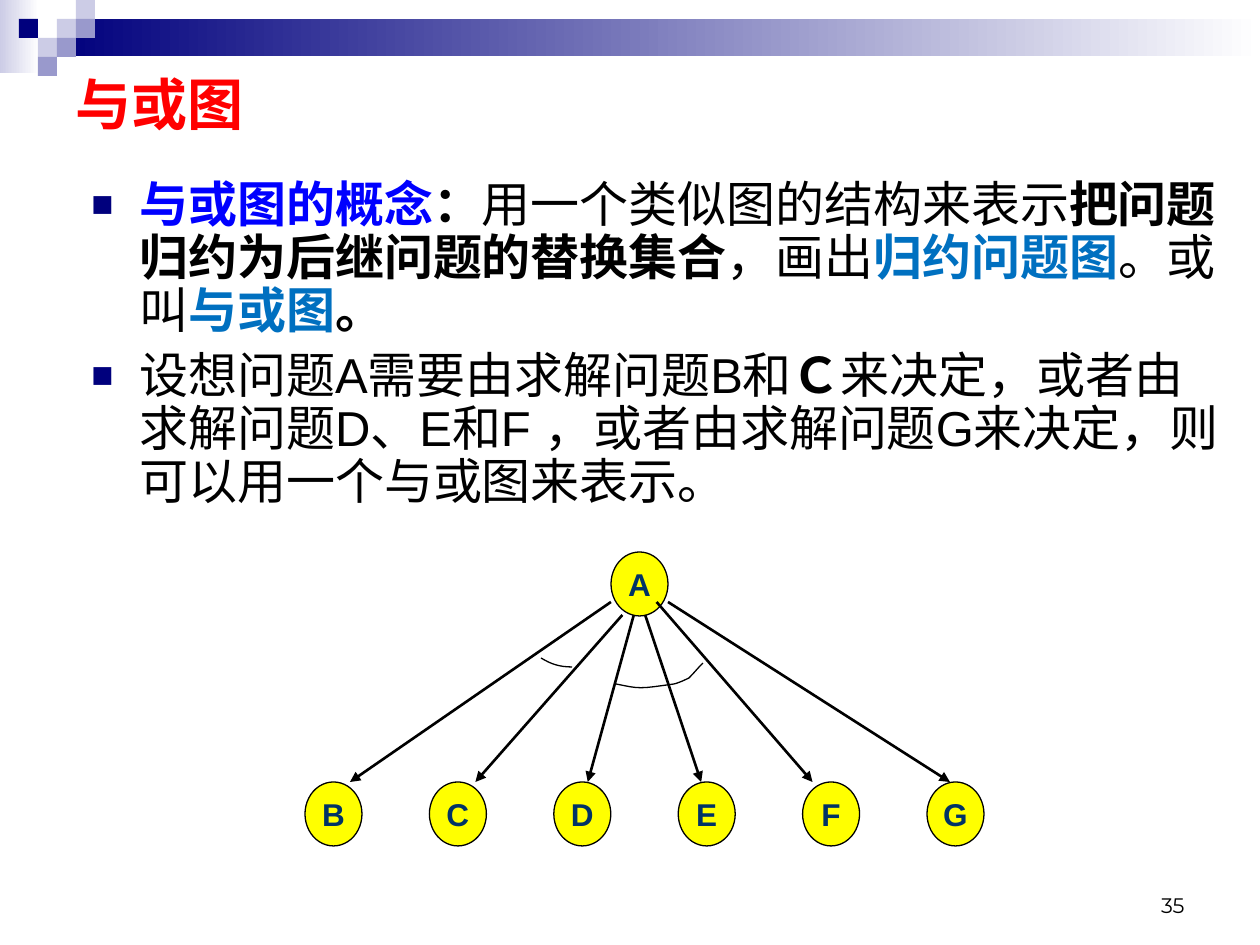
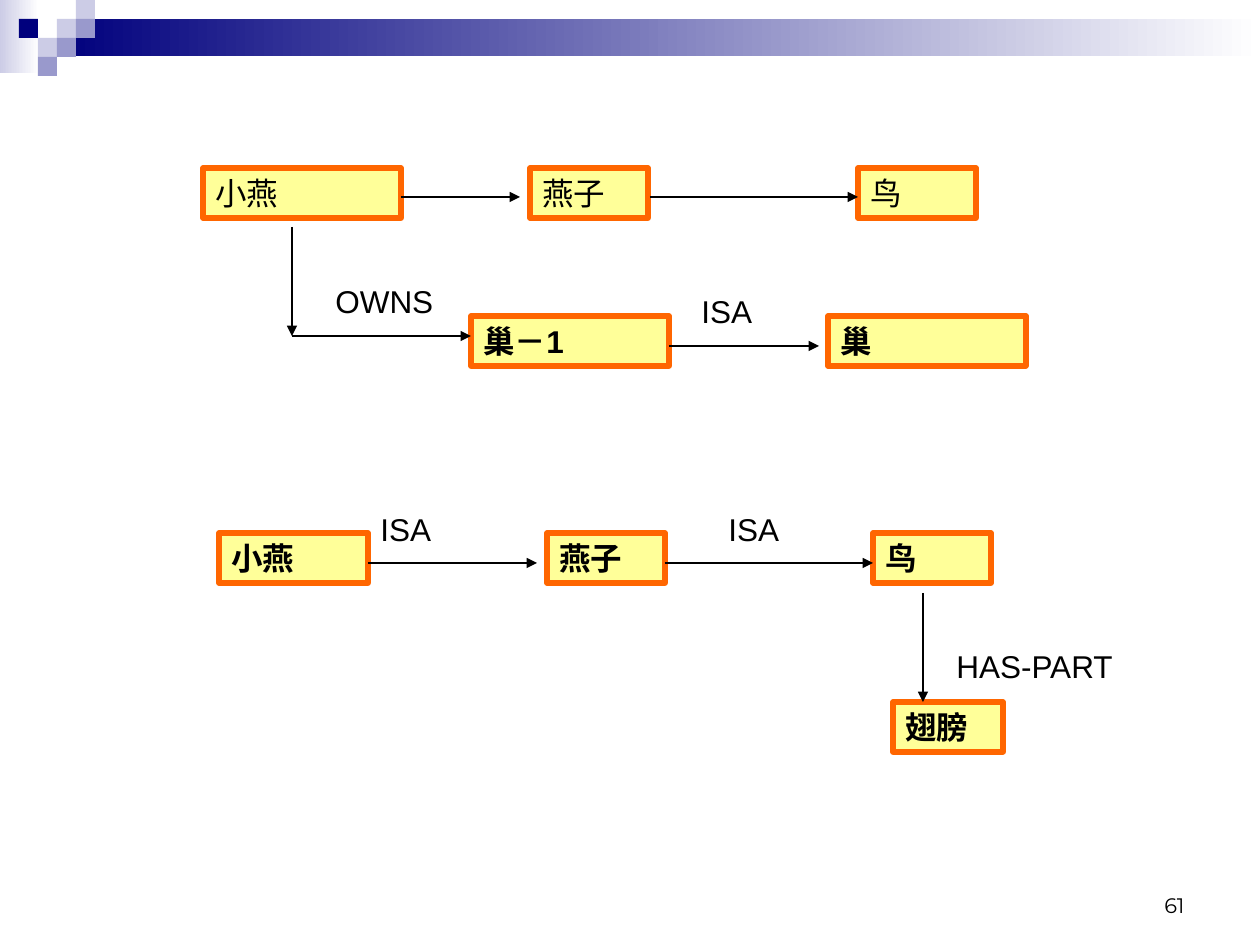
import pptx
import pptx.dml.color
import pptx.enum.shapes
import pptx.enum.text
import pptx.oxml.ns
import pptx.util
from lxml import etree

SCALE = 914400 / 126  # EMU in one px
COLOURS = {
    "navy": "00007D", "mid": "9999CC", "light": "CCCCE6", "white": "FFFFFF",
    "black": "000000", "title": "FF0000", "concept": "0000FF", "term": "0070C0",
    "node": "FFFF00", "node_text": "003366", "box": "FFFF99", "box_line": "FF6600",
}
RECTANGLE = pptx.enum.shapes.MSO_SHAPE.RECTANGLE
OVAL = pptx.enum.shapes.MSO_SHAPE.OVAL
ALIGN = pptx.enum.text.PP_ALIGN
ANCHOR = pptx.enum.text.MSO_ANCHOR

# Shared decoration: fading bands, then squares as (column, row, colour)
BANDS = [((0, 0, 39, 73), "light"), ((57, 19, 1203, 37), "navy")]
SQUARE = 19
SQUARES = [(3, 1, "light"), (4, 0, "light"), (4, 1, "mid"), (2, 2, "light"),
           (1, 1, "navy"), (3, 2, "mid"), (2, 3, "mid")]
PAGE_NUMBER_AREA = (903, 861, 294, 63)

# And-or graph slide
GRAPH_TITLE = "与或图"
# Paragraphs of (text, colour, bold)
EXPLANATION = [
    [("与或图的概念", "concept", True), ("：", "black", True),
     ("用一个类似图的结构来表示", "black", False),
     ("把问题归约为后继问题的替换集合", "black", True),
     ("，画出", "black", False), ("归约问题图", "term", True),
     ("。或叫", "black", False), ("与或图", "term", True), ("。", "black", True)],
    [("设想问题A需要由求解问题B和", "black", False), ("Ｃ", "black", True),
     ("来决定，或者由求解问题D、E和F ，或者由求解问题G来决定，"
      "则可以用一个与或图来表示。", "black", False)],
]
NODE_W, NODE_H = 57, 64
ROOT_X, ROOT_Y = 611, 552
CHILD_LEFT, CHILD_RIGHT, CHILD_Y = 305, 927, 782
# Child, height where its arrow leaves the root, offset of the arrow tip in the child
CHILDREN = [("B", 602, 45), ("C", 615, 46), ("D", 615, 34),
            ("E", 615, 23), ("F", 602, 10), ("G", 602, 23)]
# And-arcs: start point, then cubic pieces (control, control, end)
AND_ARCS = [
    ((541, 658), [((551, 664), (559, 667), (572, 667))]),
    ((616, 684), [((641, 689), (638, 689), (674, 684)),
                  ((679, 683), (689, 678), (689, 678)),
                  ((694, 673), (698, 668), (703, 663))]),
]

# Semantic network slide
LINE_H = 50
# Concept, left, top, width, bold
CONCEPTS = [
    ("小燕", 203, 168, 198, False), ("燕子", 530, 168, 118, False),
    ("鸟", 858, 168, 118, False),
    ("巢－1", 471, 316, 198, True), ("巢", 828, 316, 198, True),
    ("小燕", 219, 533, 149, True), ("燕子", 547, 533, 118, True),
    ("鸟", 873, 533, 118, True), ("翅膀", 893, 702, 110, True),
]
RELATIONS = [("OWNS", 323, 276, 140), ("ISA", 689, 286, 118), ("ISA", 368, 504, 129),
             ("ISA", 716, 504, 118), ("HAS-PART", 944, 641, 218)]
LINKS = [
    (401, 197, 520, 197), (650, 197, 858, 197),
    (292, 227, 292, 336), (292, 336, 471, 336), (669, 346, 819, 346),
    (368, 563, 537, 563), (665, 563, 873, 563), (923, 593, 923, 702),
]


def px(length):
    return round(length * SCALE)


def colour(name):
    return pptx.dml.color.RGBColor.from_string(COLOURS[name])


def add_run(paragraph, text, size, ink="black", bold=False, font="Arial"):
    run = paragraph.add_run()
    run.text = text
    run.font.name = font
    run.font.size = pptx.util.Pt(size)
    run.font.bold = bold
    run.font.color.rgb = colour(ink)


def add_block(slide, kind, area, fill=None, line=None, weight=0.75):
    block = slide.shapes.add_shape(kind, *map(px, area))
    block.shadow.inherit = False
    if fill:
        block.fill.solid()
        block.fill.fore_color.rgb = colour(fill)
    if line:
        block.line.color.rgb = colour(line)
        block.line.width = pptx.util.Pt(weight)
    else:
        block.line.fill.background()
    return block


def add_text_area(slide, area):
    text_area = slide.shapes.add_textbox(*map(px, area))
    text_area.text_frame.word_wrap = True
    return text_area


def add_arrow(slide, ends, weight=0.75):
    arrow = slide.shapes.add_connector(
        pptx.enum.shapes.MSO_CONNECTOR.STRAIGHT, *map(px, ends))
    arrow.line.color.rgb = colour("black")
    arrow.line.width = pptx.util.Pt(weight)
    qn = pptx.oxml.ns.qn
    etree.SubElement(arrow.line._get_or_add_ln(), qn("a:tailEnd"), type="triangle")
    etree.SubElement(arrow._element.spPr, qn("a:effectLst"))


def add_curve(slide, start, pieces, steps=8):
    """Draw cubic pieces, each as a row of short straight steps."""
    points, origin = [], start
    for piece in pieces:
        corners = (origin, *piece)
        for step in range(1, steps + 1):
            t = step / steps
            weights = ((1 - t) ** 3, 3 * t * (1 - t) ** 2, 3 * t * t * (1 - t), t ** 3)
            points.append(tuple(
                px(sum(w * corner[axis] for w, corner in zip(weights, corners)))
                for axis in (0, 1)))
        origin = piece[-1]
    builder = slide.shapes.build_freeform(*map(px, start))
    builder.add_line_segments(points, close=False)
    curve = builder.convert_to_shape()
    curve.shadow.inherit = False
    curve.fill.background()
    curve.line.color.rgb = colour("black")
    curve.line.width = pptx.util.Pt(0.75)


def add_bullet(paragraph):
    properties = paragraph._p.get_or_add_pPr()
    properties.set("marL", str(px(48)))
    properties.set("indent", str(-px(48)))
    qn = pptx.oxml.ns.qn
    ink = etree.SubElement(properties, qn("a:buClr"))
    etree.SubElement(ink, qn("a:srgbClr"), val=COLOURS["navy"])
    etree.SubElement(properties, qn("a:buSzPct"), val="75000")
    etree.SubElement(properties, qn("a:buFont"), typeface="Arial")
    etree.SubElement(properties, qn("a:buChar"), char="■")


def add_decorated_slide(deck, layout, page_number):
    slide = deck.slides.add_slide(deck.slide_layouts[layout])
    for area, start in BANDS:
        band = add_block(slide, RECTANGLE, area)
        band.fill.gradient()
        band.fill.gradient_angle = 0
        for stop, name in zip(band.fill.gradient_stops, (start, "white")):
            stop.color.rgb = colour(name)
    for column, row, fill in SQUARES:
        add_block(slide, RECTANGLE,
                  (column * SQUARE, row * SQUARE, SQUARE, SQUARE), fill)
    frame = add_text_area(slide, PAGE_NUMBER_AREA).text_frame
    frame.vertical_anchor = ANCHOR.BOTTOM
    frame.paragraphs[0].alignment = ALIGN.RIGHT
    add_run(frame.paragraphs[0], page_number, 12, font="Montserrat")
    return slide


def add_node(slide, name, left, top):
    node = add_block(slide, OVAL, (left, top, NODE_W, NODE_H), "node", "black")
    frame = node.text_frame
    frame.word_wrap = False
    frame.vertical_anchor = ANCHOR.MIDDLE
    frame.paragraphs[0].alignment = ALIGN.CENTER
    add_run(frame.paragraphs[0], name, 18, "node_text", True)


def build_graph_slide(deck):
    slide = add_decorated_slide(deck, 5, "35")
    title = slide.shapes.title
    title.left, title.top, title.width, title.height = map(px, (63, 69, 1134, 69))
    title.text_frame.vertical_anchor = ANCHOR.MIDDLE
    heading = title.text_frame.paragraphs[0]
    heading.alignment = ALIGN.LEFT
    add_run(heading, GRAPH_TITLE, 32, "title", True)

    frame = add_text_area(slide, (79, 174, 1152, 349)).text_frame
    for index, runs in enumerate(EXPLANATION):
        paragraph = frame.add_paragraph() if index else frame.paragraphs[0]
        add_bullet(paragraph)
        paragraph.line_spacing = 0.9
        if index:
            paragraph.space_before = pptx.util.Pt(7)
        for text, ink, bold in runs:
            add_run(paragraph, text, 28, ink, bold)

    add_node(slide, "A", ROOT_X, ROOT_Y)
    last = len(CHILDREN) - 1
    for index, (name, leave_y, tip) in enumerate(CHILDREN):
        left = CHILD_LEFT + (CHILD_RIGHT - CHILD_LEFT) * index / last
        add_node(slide, name, left, CHILD_Y)
        leave_x = ROOT_X + NODE_W * index / last
        add_arrow(slide, (leave_x, leave_y, left + tip, CHILD_Y), 1.5)
    for start, pieces in AND_ARCS:
        add_curve(slide, start, pieces)


def add_fitted_line(holder, text, bold=False):
    frame = holder.text_frame
    frame.word_wrap = True
    frame.auto_size = pptx.enum.text.MSO_AUTO_SIZE.SHAPE_TO_FIT_TEXT
    frame.vertical_anchor = ANCHOR.TOP
    frame.paragraphs[0].alignment = ALIGN.LEFT
    add_run(frame.paragraphs[0], text, 18, bold=bold)


def build_network_slide(deck):
    slide = add_decorated_slide(deck, 6, "61")
    for concept, left, top, width, bold in CONCEPTS:
        box = add_block(slide, RECTANGLE, (left, top, width, LINE_H),
                        "box", "box_line", 3)
        add_fitted_line(box, concept, bold)
    for ends in LINKS:
        add_arrow(slide, ends)
    for relation, left, top, width in RELATIONS:
        add_fitted_line(add_text_area(slide, (left, top, width, LINE_H)), relation)


def main():
    deck = pptx.Presentation()
    deck.slide_width, deck.slide_height = px(1260), px(945)
    build_graph_slide(deck)
    build_network_slide(deck)
    deck.save("out.pptx")


if __name__ == "__main__":
    main()
